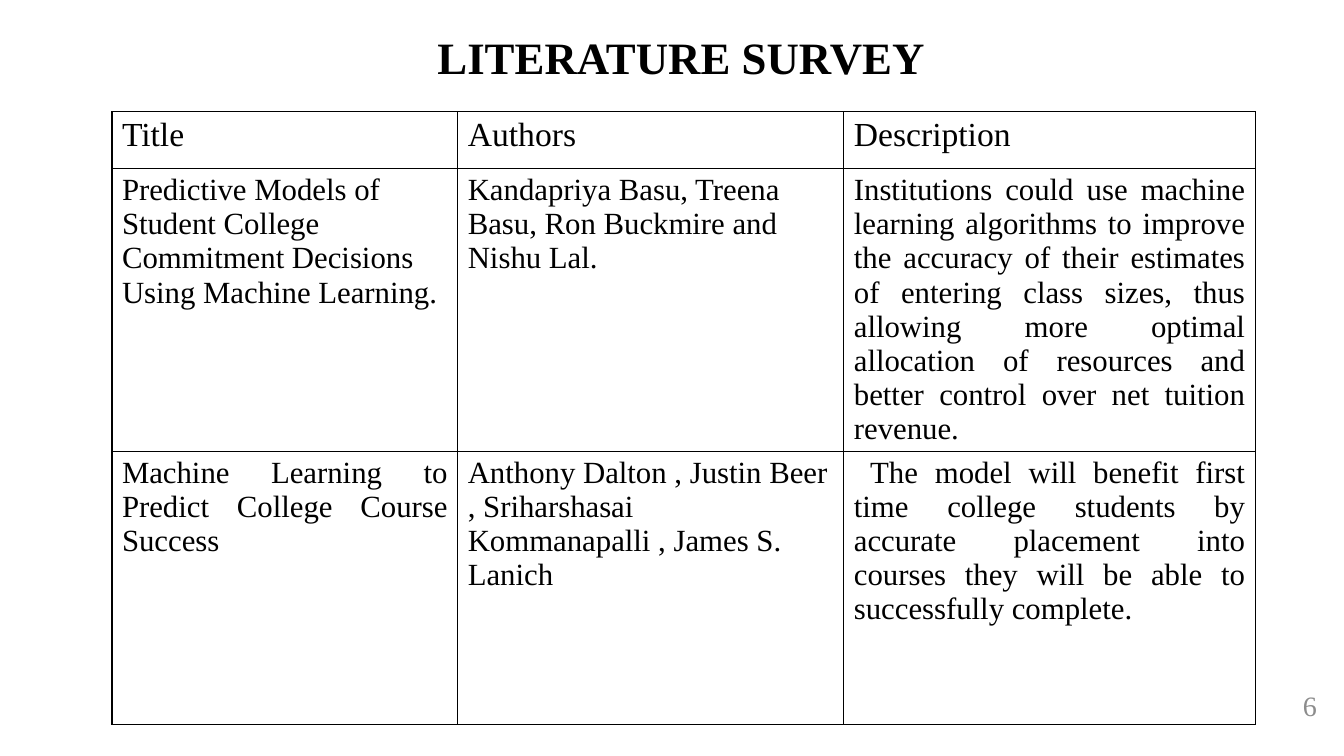
from dataclasses import dataclass

from lxml import etree
from pptx import Presentation
from pptx import util as u
from pptx.dml.color import RGBColor
from pptx.enum import text
from pptx.oxml.ns import qn

SLIDE_WIDTH = u.Inches(13.33)
SLIDE_HEIGHT = u.Inches(7.5)
BLACK = RGBColor(0x00, 0x00, 0x00)
GREY = RGBColor(0x8C, 0x8C, 0x8C)
FONT = "Times New Roman"
LEFT = text.PP_ALIGN.LEFT
RIGHT = text.PP_ALIGN.RIGHT
JUSTIFY = text.PP_ALIGN.JUSTIFY
COLUMN_SHARES = (25.73, 28.73, 30.61)
ROW_SHARES = (7.47, 36.13, 36.13)


@dataclass(frozen=True)
class Entry:
    wording: str
    size: int = 22
    align: text.PP_ALIGN = LEFT
    color: RGBColor = BLACK
    bold: bool = False


@dataclass(frozen=True)
class Label:
    entry: Entry
    left: float
    top: float
    width: float
    height: float
    wrap: bool
    anchor: text.MSO_ANCHOR


SURVEY = (
    (Entry("Title", 24), Entry("Authors", 24), Entry("Description", 24)),
    (
        Entry("Predictive Models of Student College Commitment Decisions Using Machine Learning."),
        Entry("Kandapriya Basu, Treena Basu, Ron Buckmire and Nishu Lal."),
        Entry(
            "Institutions could use machine learning algorithms to improve the accuracy "
            "of their estimates of entering class sizes, thus allowing more optimal "
            "allocation of resources and better control over net tuition revenue. ",
            align=JUSTIFY,
        ),
    ),
    (
        Entry("Machine Learning to Predict College Course Success", align=JUSTIFY),
        Entry("Anthony Dalton , Justin Beer , Sriharshasai Kommanapalli , James S. Lanich"),
        Entry(
            " The model will benefit first time college students by accurate placement "
            "into courses they will be able to successfully complete.",
            align=JUSTIFY,
        ),
    ),
)

LABELS = (
    Label(Entry("6", 20, RIGHT, GREY), 92.42, 90.67, 6.3, 5.33, True, text.MSO_ANCHOR.MIDDLE),
    Label(Entry("LITERATURE SURVEY", 32, bold=True), 31.81, 3.33, 38.11, 8.53, False,
          text.MSO_ANCHOR.TOP),
)


def across(percent: float) -> int:
    return round(SLIDE_WIDTH * percent / 100)


def down(percent: float) -> int:
    return round(SLIDE_HEIGHT * percent / 100)


def write(text_frame, entry: Entry) -> None:
    text_frame.text = entry.wording
    paragraph = text_frame.paragraphs[0]
    paragraph.alignment = entry.align
    font = paragraph.runs[0].font
    font.name = FONT
    font.size = u.Pt(entry.size)
    font.bold = entry.bold
    font.color.rgb = entry.color


def add_borders(cell) -> None:
    properties = cell._tc.get_or_add_tcPr()
    for position, side in enumerate(("lnL", "lnR", "lnT", "lnB")):
        line = etree.Element(qn(f"a:{side}"), w=str(u.Pt(1)))
        fill = etree.SubElement(line, qn("a:solidFill"))
        etree.SubElement(fill, qn("a:srgbClr"), val=str(BLACK))
        properties.insert(position, line)


def add_survey(slide) -> None:
    frame = slide.shapes.add_table(
        len(ROW_SHARES), len(COLUMN_SHARES), across(8.33), down(14.8),
        across(sum(COLUMN_SHARES)), down(sum(ROW_SHARES)),
    )
    table = frame.table
    table.first_row = False
    table.horz_banding = False
    for column, share in zip(table.columns, COLUMN_SHARES):
        column.width = across(share)
    for row, share, entries in zip(table.rows, ROW_SHARES, SURVEY):
        row.height = down(share)
        for cell, entry in zip(row.cells, entries):
            write(cell.text_frame, entry)
            cell.fill.background()
            add_borders(cell)


def add_label(slide, label: Label) -> None:
    shape = slide.shapes.add_textbox(
        across(label.left), down(label.top), across(label.width), down(label.height)
    )
    shape.text_frame.word_wrap = label.wrap
    shape.text_frame.vertical_anchor = label.anchor
    if not label.wrap:
        shape.text_frame.auto_size = text.MSO_AUTO_SIZE.SHAPE_TO_FIT_TEXT
    write(shape.text_frame, label.entry)


def main() -> None:
    presentation = Presentation()
    presentation.slide_width = SLIDE_WIDTH
    presentation.slide_height = SLIDE_HEIGHT
    slide = presentation.slides.add_slide(presentation.slide_layouts[6])
    add_survey(slide)
    for label in LABELS:
        add_label(slide, label)
    presentation.save("out.pptx")


if __name__ == "__main__":
    main()
